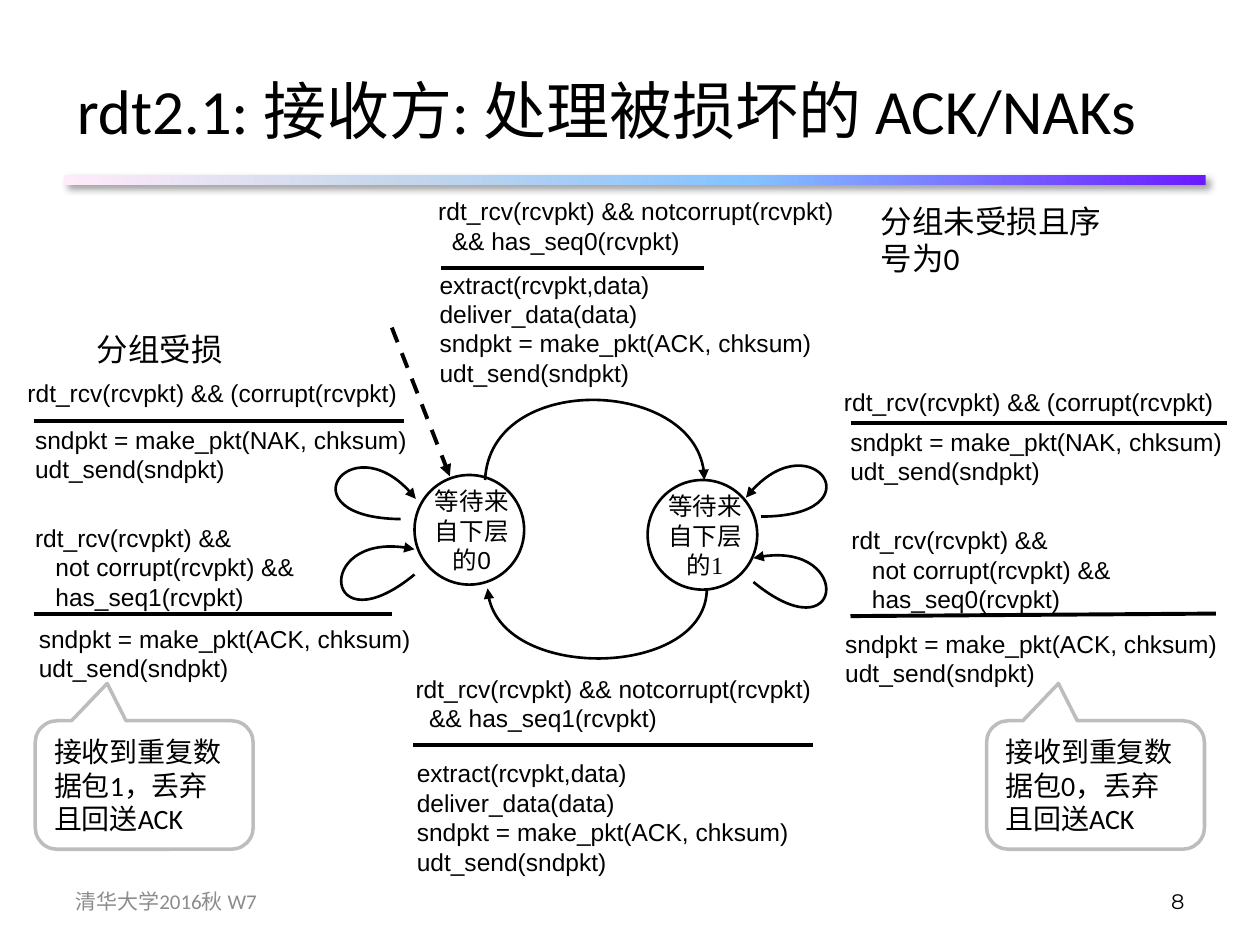
from pptx import Presentation
from pptx.util import Inches, Pt
from pptx.dml.color import RGBColor
from pptx.enum.dml import MSO_LINE as Dash
from pptx.enum.shapes import MSO_SHAPE as Kind, MSO_CONNECTOR as Link
from pptx.enum.text import PP_ALIGN as Align, MSO_ANCHOR as Anchor, MSO_AUTO_SIZE as Auto
from pptx.oxml import parse_xml
from pptx.oxml.ns import qn, nsdecls
from lxml.etree import SubElement as Sub

BLACK = RGBColor(0, 0, 0)
WHITE = RGBColor(255, 255, 255)
GREY = RGBColor(0x8C, 0x8C, 0x8C)
EDGE = RGBColor(0xBD, 0xBD, 0xBD)
STOPS = ((0, "6B19FF"), (40, "85C2FF"), (70, "C4D6EB"), (100, "FFEBFA"))


class Board:
    code = "Arial"
    body = "Calibri"

    def __init__(self, slide):
        self.slide = slide
        self.shapes = slide.shapes

    def label(self, frame, lines, size, font, color=BLACK, align=Align.LEFT, anchor=Anchor.TOP):
        frame.word_wrap = True
        frame.auto_size = Auto.NONE
        frame.vertical_anchor = anchor
        for i, line in enumerate(lines):
            para = frame.add_paragraph() if i else frame.paragraphs[0]
            para.alignment = align
            run = para.add_run()
            run.text = line
            run.font.size = Pt(size)
            run.font.name = font
            run.font.color.rgb = color

    def title(self, text, *box):
        shape = self.shapes.title
        shape.left, shape.top, shape.width, shape.height = map(Inches, box)
        self.label(shape.text_frame, [text], 36, self.body, anchor=Anchor.MIDDLE)

    def text(self, lines, *box, size=14, font=code, **look):
        shape = self.shapes.add_textbox(*map(Inches, box))
        self.label(shape.text_frame, lines, size, font, **look)

    def shape(self, kind, *box, edge=BLACK, width=1.5):
        shape = self.shapes.add_shape(kind, *map(Inches, box))
        shape.shadow.inherit = False
        shape.fill.solid()
        shape.fill.fore_color.rgb = WHITE
        shape.line.color.rgb = edge
        shape.line.width = Pt(width)
        return shape

    def band(self, *box):
        shape = self.shape(Kind.RECTANGLE, *box)
        shape.line.fill.background()
        props = shape._element.spPr
        stops = "".join(
            f'<a:gs pos="{pos * 1000}"><a:srgbClr val="{tint}"/></a:gs>' for pos, tint in STOPS)
        grad = parse_xml(f'<a:gradFill {nsdecls("a")}><a:gsLst>{stops}</a:gsLst>'
                         '<a:lin ang="10800000" scaled="0"/></a:gradFill>')
        props.replace(props.find(qn("a:solidFill")), grad)
        glow = Sub(props.find(qn("a:effectLst")), qn("a:outerShdw"),
                   blurRad=str(Pt(4)), dist=str(Pt(3)), dir="2700000")
        tint = Sub(glow, qn("a:srgbClr"), val="000000")
        Sub(tint, qn("a:alpha"), val="40000")

    def state(self, text, left, top, font):
        self.shape(Kind.OVAL, left, top, 0.87, 0.87)
        self.text([text], left + 0.02, top + 0.04, 0.87, 0.67, font=font, align=Align.CENTER)

    def note(self, text, left):
        shape = self.shape(Kind.ROUNDED_RECTANGULAR_CALLOUT, left, 5.72, 1.73, 1.02,
                           edge=EDGE, width=2)
        for i, value in enumerate((-0.17, -0.79, 0.17)):
            shape.adjustments[i] = value
        self.label(shape.text_frame, [text], 16, self.body, anchor=Anchor.MIDDLE)

    def head(self, shape):
        Sub(shape._element.spPr.find(qn("a:ln")), qn("a:tailEnd"), type="triangle")

    def rule(self, *ends):
        line = self.shapes.add_connector(Link.STRAIGHT, *map(Inches, ends))
        line.line.color.rgb = BLACK
        line.line.width = Pt(2.25)
        Sub(line._element.spPr, qn("a:effectLst"))
        return line

    def entry(self, *ends):
        line = self.rule(*ends)
        line.line.dash_style = Dash.DASH
        self.head(line)

    def curve(self, *points):
        start, *rest = [(Inches(x), Inches(y)) for x, y in points]
        form = self.shapes.build_freeform(*start)
        form.add_line_segments(rest, close=False)
        shape = form.convert_to_shape()
        shape.shadow.inherit = False
        shape.fill.background()
        shape.line.color.rgb = BLACK
        shape.line.width = Pt(1.5)
        track = shape._element.spPr.find(".//" + qn("a:path"))
        steps = track.findall(qn("a:lnTo"))
        bend = Sub(track, qn("a:cubicBezTo"))
        for step in steps:
            bend.append(step[0])
            track.remove(step)
        self.head(shape)


def send(kind):
    return [f"sndpkt = make_pkt({kind}, chksum)", "udt_send(sndpkt)"]


def main():
    deck = Presentation()
    deck.slide_width, deck.slide_height = Inches(10), Inches(7.5)
    board = Board(deck.slides.add_slide(deck.slide_layouts[5]))

    board.band(0.51, 1.39, 9.06, 0.08)
    board.title("rdt2.1: 接收方: 处理被损坏的 ACK/NAKs", 0.51, 0.36, 9.1, 1.02)
    board.text(["清华大学2016秋 W7"], 0.5, 6.95, 2.33, 0.4, size=12, font=board.body,
               color=GREY, anchor=Anchor.MIDDLE)
    board.text(["8"], 7.17, 6.95, 2.33, 0.4, size=12, font="Montserrat",
               align=Align.RIGHT, anchor=Anchor.MIDDLE)

    board.state("等待来自下层的0", 3.29, 3.77, board.code)
    board.state("等待来自下层的1", 5.14, 3.81, "Times New Roman")
    board.entry(3.11, 2.6, 3.57, 3.78)

    for points in (
        ((3.85, 3.81), (3.89, 2.95), (5.59, 3), (5.59, 3.81)),
        ((5.61, 4.67), (5.61, 5.38), (3.91, 5.42), (3.87, 4.67)),
        ((6.04, 4.1), (6.97, 4.1), (6.43, 3.3), (5.92, 3.95)),
        ((5.98, 4.62), (6.7, 5.21), (6.78, 4.25), (5.98, 4.43)),
        ((3.29, 4.56), (2.57, 5.15), (2.48, 4.18), (3.29, 4.36)),
        ((3.18, 4.12), (2.25, 4.11), (2.8, 3.32), (3.3, 3.96)),
    ):
        board.curve(*points)

    for seq, left, top, act_left, act_top in (
        (0, 3.38, 1.51, 3.39, 2.09),
        (1, 3.2, 5.3, 3.21, 5.97),
    ):
        board.text(["rdt_rcv(rcvpkt) && notcorrupt(rcvpkt)", f"  && has_seq{seq}(rcvpkt)"],
                   left, top, 4, 0.62)
        board.text(["extract(rcvpkt,data)", "deliver_data(data)"] + send("ACK"),
                   act_left, act_top, 4, 1.09)

    for left, top in ((0.12, 2.95), (6.6, 3.02)):
        board.text(["rdt_rcv(rcvpkt) && (corrupt(rcvpkt)"], left, top, 3.14, 0.67)
    for seq, left, top in ((1, 0.18, 4.1), (0, 6.66, 4.12)):
        board.text(["rdt_rcv(rcvpkt) &&", "   not corrupt(rcvpkt) &&",
                    f"   has_seq{seq}(rcvpkt)"], left, top, 2.87, 0.67)
    for kind, left, top in (("NAK", 0.18, 3.32), ("NAK", 6.65, 3.34),
                            ("ACK", 0.21, 4.9), ("ACK", 6.61, 4.94)):
        board.text(send(kind), left, top, 3.3, 0.45)

    for ends in ((3.5, 2.13, 5.59, 2.13), (3.28, 5.91, 6.45, 5.91),
                 (0.27, 3.34, 3.21, 3.34), (6.75, 3.36, 9.74, 3.36),
                 (0.27, 4.87, 3.11, 4.87), (6.75, 4.89, 9.65, 4.87)):
        board.rule(*ends)

    for seq, left in ((0, 7.83), (1, 0.28)):
        board.note(f"接收到重复数据包{seq}，丢弃且回送ACK", left)
    board.text(["分组未受损且序号为0"], 6.89, 1.55, 2.05, 0.71, size=18, font=board.body)
    board.text(["分组受损"], 0.67, 2.57, 1.34, 0.4, size=18, font=board.body)
    deck.save("out.pptx")


if __name__ == "__main__":
    main()
